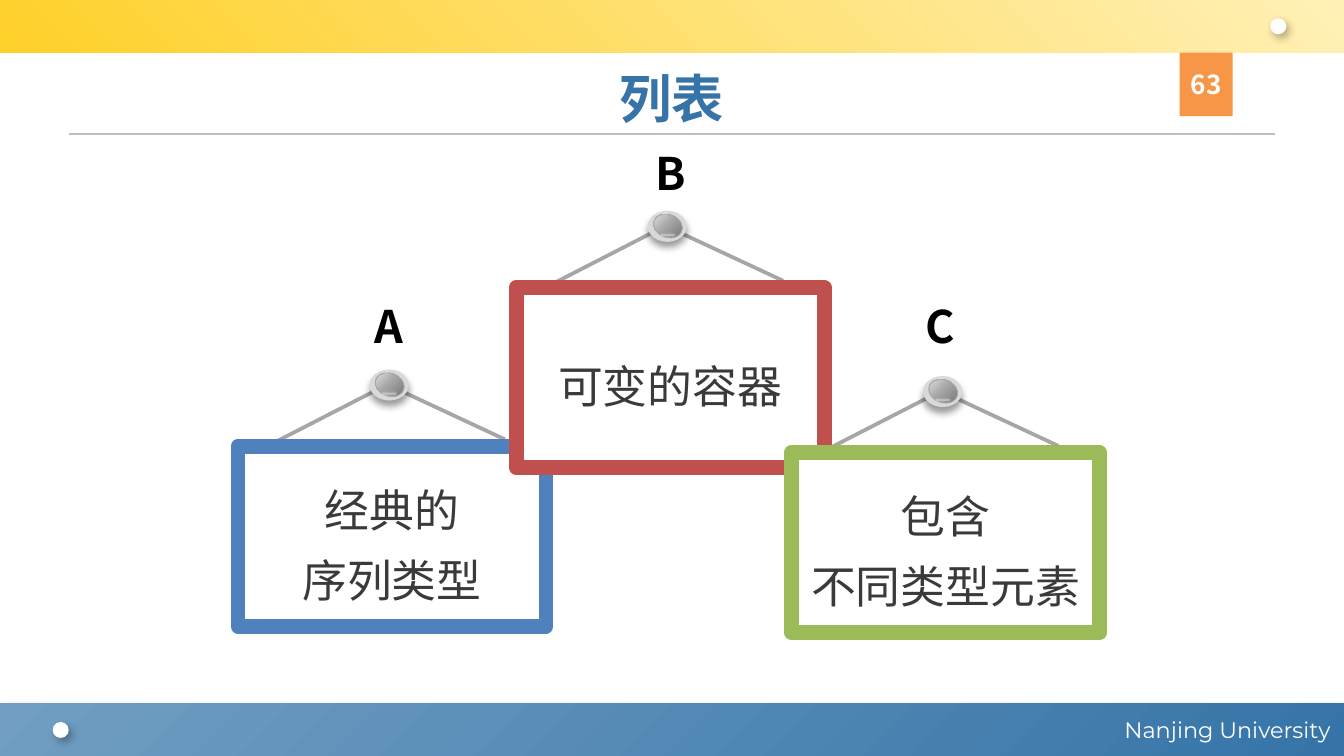
from dataclasses import dataclass
from typing import Optional, Sequence

from lxml.etree import SubElement
from pptx import Presentation
from pptx.dml.color import RGBColor
from pptx.enum.shapes import MSO_CONNECTOR, MSO_SHAPE
from pptx.enum.text import MSO_ANCHOR, PP_ALIGN
from pptx.oxml.ns import qn
from pptx.util import Pt


@dataclass(frozen=True)
class Theme:
    font: str = "Noto Sans CJK SC"
    footer_font: str = "Montserrat"
    title_size: float = 28
    body_size: float = 24
    page_size: float = 14
    footer_size: float = 12
    white: str = "FFFFFF"
    black: str = "000000"
    text: str = "3A3A3A"
    title: str = "3674A8"
    footer_light: str = "719EC2"
    header_dark: str = "FFD02A"
    header_light: str = "FFF0B6"
    rule: str = "BFBFBF"
    page: str = "F79646"
    string: str = "A6A6A6"
    rim: str = "D9D9D9"
    blue: str = "4F81BD"
    red: str = "C0504D"
    green: str = "9BBB59"


@dataclass(frozen=True)
class Box:
    x: float
    y: float
    w: float
    h: float

    def emu(self):
        return Pt(self.x), Pt(self.y), Pt(self.w), Pt(self.h)


@dataclass(frozen=True)
class Stop:
    pos: int
    color: str
    alpha: int = 100


@dataclass(frozen=True)
class Shadow:
    alpha: int
    blur: float
    dist: float
    angle: int


@dataclass(frozen=True)
class Sign:
    letter: str
    lines: Sequence[str]
    color: str
    x: float
    y: float
    letter_x: float
    letter_y: float


T = Theme()
FRAME_W, FRAME_H = 165, 96.5
SIGNS = [
    Sign("A", ["经典的", "序列类型"], T.blue, 127.5, 239, 189.2, 154.3),
    Sign("B", ["可变的容器"], T.red, 276.5, 154, 340, 72.3),
    Sign("C", ["包含", "不同类型元素"], T.green, 424, 242.5, 484.6, 154.3),
]


def rgb(color: str) -> RGBColor:
    return RGBColor.from_string(color)


def add_color(parent, color: str, alpha: int) -> None:
    clr = SubElement(parent, qn("a:srgbClr"), val=color)
    if alpha < 100:
        SubElement(clr, qn("a:alpha"), val=str(alpha * 1000))


def set_gradient(sp, stops: Sequence[Stop], angle: int = 0, kind: str = "",
                 focus: Sequence[int] = (50, 50, 50, 50)) -> None:
    """Linear at a clockwise angle, or, when kind is given, a path gradient."""
    sp.fill.gradient()
    grad = sp._element.spPr.find(qn("a:gradFill"))
    for child in list(grad):
        grad.remove(child)
    gs_list = SubElement(grad, qn("a:gsLst"))
    for stop in stops:
        gs = SubElement(gs_list, qn("a:gs"), pos=str(stop.pos * 1000))
        add_color(gs, stop.color, stop.alpha)
    if kind:
        center = SubElement(grad, qn("a:path"), {"path": kind})
        SubElement(center, qn("a:fillToRect"),
                   {side: str(v * 1000) for side, v in zip("ltrb", focus)})
    else:
        SubElement(grad, qn("a:lin"), ang=str(angle * 60000), scaled="0")


def add_shape(s, kind: MSO_SHAPE, box: Box, fill: str = "", line: str = "",
              width: float = 0, shadow: Optional[Shadow] = None, rotation: float = 0):
    sp = s.shapes.add_shape(kind, *box.emu())
    sp.rotation = rotation
    if fill:
        sp.fill.solid()
        sp.fill.fore_color.rgb = rgb(fill)
    if line:
        sp.line.color.rgb = rgb(line)
        sp.line.width = Pt(width)
    else:
        sp.line.fill.background()
    sp.shadow.inherit = False
    if shadow:
        effects = sp._element.spPr.find(qn("a:effectLst"))
        outer = SubElement(effects, qn("a:outerShdw"), blurRad=str(Pt(shadow.blur)),
                           dist=str(Pt(shadow.dist)), dir=str(shadow.angle * 60000),
                           algn="ctr", rotWithShape="0")
        add_color(outer, T.black, shadow.alpha)
    return sp


def set_text(sp, lines: Sequence[str], size: float, color: str, bold: bool = False,
             font: str = T.font, align: PP_ALIGN = PP_ALIGN.CENTER,
             spacing: float = 1.0, inset_x: float = 7.2, inset_y: float = 3.6) -> None:
    tf = sp.text_frame
    tf.text = "\n".join(lines)
    tf.word_wrap = True
    tf.vertical_anchor = MSO_ANCHOR.MIDDLE
    tf.margin_left = tf.margin_right = Pt(inset_x)
    tf.margin_top = tf.margin_bottom = Pt(inset_y)
    for p in tf.paragraphs:
        p.alignment = align
        p.line_spacing = spacing
        for r in p.runs:
            r.font.size = Pt(size)
            r.font.bold = bold
            r.font.color.rgb = rgb(color)
            r.font.name = font
            SubElement(r._r.get_or_add_rPr(), qn("a:ea"), typeface=font)


def draw_background(s) -> None:
    footer = add_shape(s, MSO_SHAPE.RECTANGLE, Box(0, 376.7, 720, 28.3),
                       shadow=Shadow(38, 3.1, 1.6, 90))
    set_gradient(footer, [Stop(0, T.footer_light), Stop(100, T.title)], angle=45)
    set_text(footer, ["Nanjing University"], T.footer_size, T.white,
             font=T.footer_font, align=PP_ALIGN.RIGHT)
    header = add_shape(s, MSO_SHAPE.RECTANGLE, Box(0, 0, 720, 28.2))
    set_gradient(header, [Stop(0, T.header_dark), Stop(100, T.header_light)], angle=315)
    for x, y in ((680.5, 9.8), (28.2, 386.8)):
        add_shape(s, MSO_SHAPE.OVAL, Box(x, y, 8.6, 8.6), T.white,
                  shadow=Shadow(30, 4.5, 2.6, 53))
    rule = s.shapes.add_connector(MSO_CONNECTOR.STRAIGHT, Pt(37), Pt(72), Pt(683), Pt(72))
    rule.line.color.rgb = rgb(T.rule)
    rule.line.width = Pt(1)
    SubElement(rule._element.spPr, qn("a:effectLst"))


def draw_hanger(s, sign: Sign) -> None:
    """The string and the metal pin above a frame."""
    x, y = sign.x, sign.y
    path = s.shapes.build_freeform(Pt(x + 20), Pt(y - 2.2))
    path.add_line_segments([(Pt(x + 80), Pt(y - 33)), (Pt(x + 143), Pt(y - 3.6))], close=False)
    string = path.convert_to_shape()
    string.fill.background()
    string.line.color.rgb = rgb(T.string)
    string.line.width = Pt(2)
    string.shadow.inherit = False

    add_shape(s, MSO_SHAPE.OVAL, Box(x + 70.5, y - 41, 21, 16.6), T.rim,
              shadow=Shadow(40, 4, 3, 90))
    face = add_shape(s, MSO_SHAPE.OVAL, Box(x + 73.4, y - 39, 15.8, 12.2),
                     line=T.string, width=0.5, rotation=21.1)
    set_gradient(face, [Stop(0, "F2F2F2"), Stop(47, T.string), Stop(82, "808080")],
                 kind="circle", focus=(0, 0, 100, 100))
    glow = add_shape(s, MSO_SHAPE.OVAL, Box(x + 76.3, y - 29.5, 9.4, 2.9), rotation=356.5)
    set_gradient(glow, [Stop(0, T.white, 55), Stop(50, "D7D7D7", 12), Stop(100, T.white, 0)],
                 kind="shape")
    sheen = add_shape(s, MSO_SHAPE.OVAL, Box(x + 77.8, y - 39, 8.6, 4.3), rotation=36.3)
    set_gradient(sheen, [Stop(0, T.white, 0), Stop(16, T.white, 51), Stop(30, T.white, 0)],
                 angle=45)


def draw_letter(s, sign: Sign) -> None:
    label = s.shapes.add_textbox(*Box(sign.letter_x, sign.letter_y, 38.2, 40).emu())
    set_text(label, [sign.letter], T.body_size, T.black, bold=True)


def draw_frame(s, sign: Sign) -> None:
    frame = add_shape(s, MSO_SHAPE.RECTANGLE, Box(sign.x, sign.y, FRAME_W, FRAME_H),
                      T.white, sign.color, 8)
    SubElement(frame.line._get_or_add_ln(), qn("a:round"))
    set_text(frame, sign.lines, T.body_size, T.text, spacing=1.3, inset_x=5, inset_y=2.9)


def main() -> None:
    prs = Presentation()
    prs.slide_width, prs.slide_height = Pt(720), Pt(405)
    s = prs.slides.add_slide(prs.slide_layouts[5])
    draw_background(s)
    title = s.shapes.title
    title.left, title.top, title.width, title.height = Box(36, 32.4, 648, 39.6).emu()
    set_text(title, ["列表"], T.title_size, T.title, bold=True)
    page = add_shape(s, MSO_SHAPE.RECTANGLE, Box(632, 28.2, 28.4, 34), T.page)
    set_text(page, ["63"], T.page_size, T.white, bold=True, inset_x=0)
    for draw in (draw_letter, draw_hanger, draw_frame):
        for sign in SIGNS:
            draw(s, sign)
    prs.save("out.pptx")


if __name__ == "__main__":
    main()
